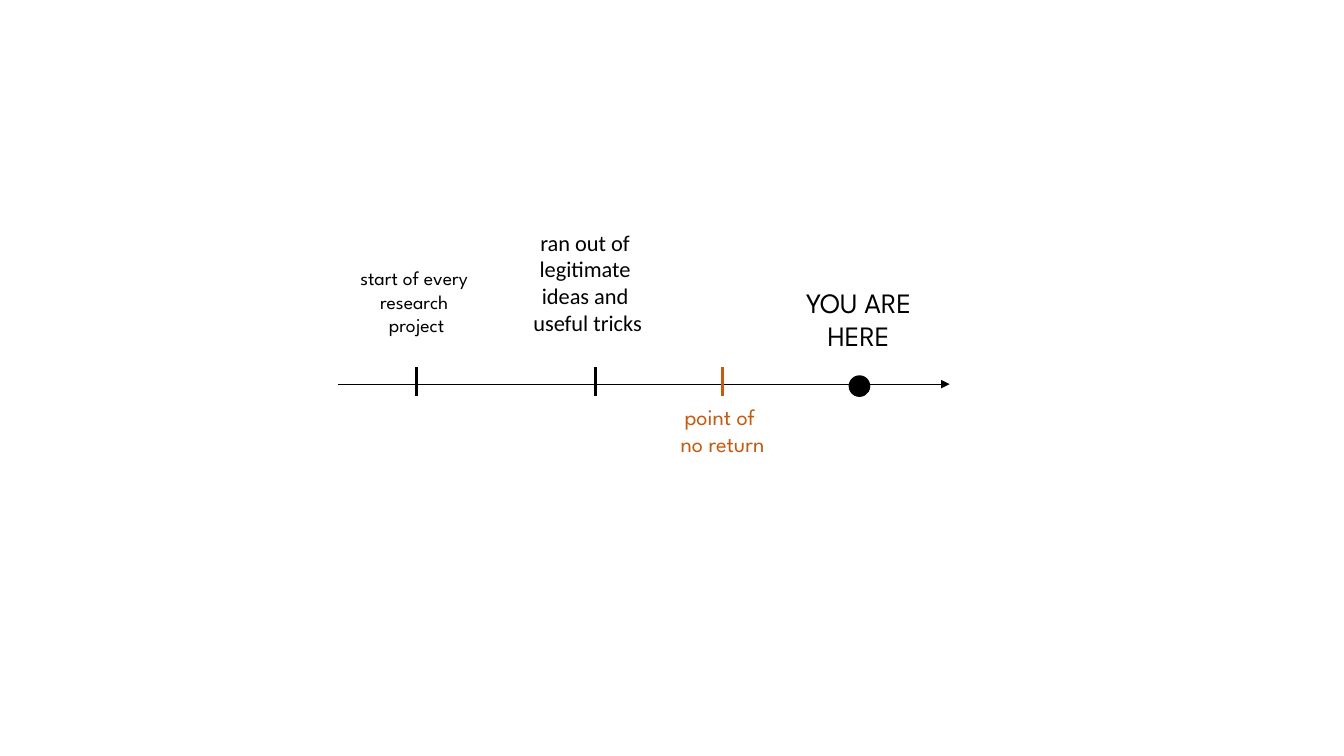
from dataclasses import dataclass

from lxml.etree import SubElement
from pptx import Presentation
from pptx.dml.color import RGBColor
from pptx.enum.shapes import MSO_CONNECTOR, MSO_SHAPE
from pptx.enum.text import MSO_ANCHOR, MSO_AUTO_SIZE, PP_ALIGN
from pptx.oxml.ns import qn
from pptx.util import Cm, Pt


@dataclass(frozen=True)
class Theme:
    ink: RGBColor = RGBColor(0x00, 0x00, 0x00)
    warning: RGBColor = RGBColor(0xC5, 0x5A, 0x11)
    display: str = "League Spartan"
    plain: str = "Calibri"
    small: int = 14
    medium: int = 16
    large: int = 20
    axis_weight: float = 0.5
    tick_weight: float = 2.5


theme = Theme()

AXIS = {"start": 8.51, "end": 23.93, "y": 9.68}
TICK = {"top": 9.25, "bottom": 9.99}
HERE = {"x": 21.66, "y": 9.73, "diameter": 0.51}

TICKS = [(10.49, theme.ink), (15.01, theme.ink), (18.21, theme.warning)]

LABELS = [
    {"paragraphs": ["start of every \nresearch \nproject"],
     "center": 10.5, "top": 6.58, "width": 3.78, "height": 2.06,
     "font": theme.display, "size": theme.small, "color": theme.ink},
    {"paragraphs": ["ran out of ", "legitimate ", "ideas and ", "useful tricks"],
     "center": 14.81, "top": 5.64, "width": 3.25, "height": 3.0,
     "font": theme.plain, "size": theme.medium, "color": theme.ink},
    {"paragraphs": ["point of ", "no return"],
     "center": 18.21, "top": 10.03, "width": 3.0, "height": 1.63,
     "font": theme.display, "size": theme.medium, "color": theme.warning},
    {"paragraphs": ["YOU ARE\nHERE"],
     "center": 21.64, "top": 7.06, "width": 3.56, "height": 1.96,
     "font": theme.display, "size": theme.large, "color": theme.ink},
]


def draw_line(slide, x1, y1, x2, y2, color, weight, arrow=False):
    line = slide.shapes.add_connector(
        MSO_CONNECTOR.STRAIGHT, Cm(x1), Cm(y1), Cm(x2), Cm(y2))
    line.line.color.rgb = color
    line.line.width = Pt(weight)
    if arrow:
        SubElement(line.line._get_or_add_ln(), qn("a:tailEnd"), type="triangle")
    SubElement(line._element.spPr, qn("a:effectLst"))


def draw_here(slide):
    diameter = HERE["diameter"]
    dot = slide.shapes.add_shape(
        MSO_SHAPE.OVAL, Cm(HERE["x"] - diameter / 2), Cm(HERE["y"] - diameter / 2),
        Cm(diameter), Cm(diameter))
    dot.shadow.inherit = False
    dot.fill.solid()
    dot.fill.fore_color.rgb = theme.ink
    dot.line.color.rgb = theme.ink
    dot.line.width = Pt(1)


def draw_label(slide, label):
    box = slide.shapes.add_textbox(
        Cm(label["center"] - label["width"] / 2), Cm(label["top"]),
        Cm(label["width"]), Cm(label["height"]))
    frame = box.text_frame
    frame.word_wrap = False
    frame.auto_size = MSO_AUTO_SIZE.SHAPE_TO_FIT_TEXT
    frame.vertical_anchor = MSO_ANCHOR.TOP
    for index, wording in enumerate(label["paragraphs"]):
        paragraph = frame.add_paragraph() if index else frame.paragraphs[0]
        paragraph.text = wording
        paragraph.alignment = PP_ALIGN.CENTER
        paragraph.font.name = label["font"]
        paragraph.font.size = Pt(label["size"])
        paragraph.font.color.rgb = label["color"]


def main():
    deck = Presentation()
    deck.slide_width, deck.slide_height = Cm(33.87), Cm(19.05)
    slide = deck.slides.add_slide(deck.slide_layouts[6])

    draw_line(slide, AXIS["start"], AXIS["y"], AXIS["end"], AXIS["y"],
              theme.ink, theme.axis_weight, arrow=True)
    for x, color in TICKS:
        draw_line(slide, x, TICK["top"], x, TICK["bottom"], color, theme.tick_weight)
    draw_here(slide)
    for label in LABELS:
        draw_label(slide, label)

    deck.save("out.pptx")


if __name__ == "__main__":
    main()
